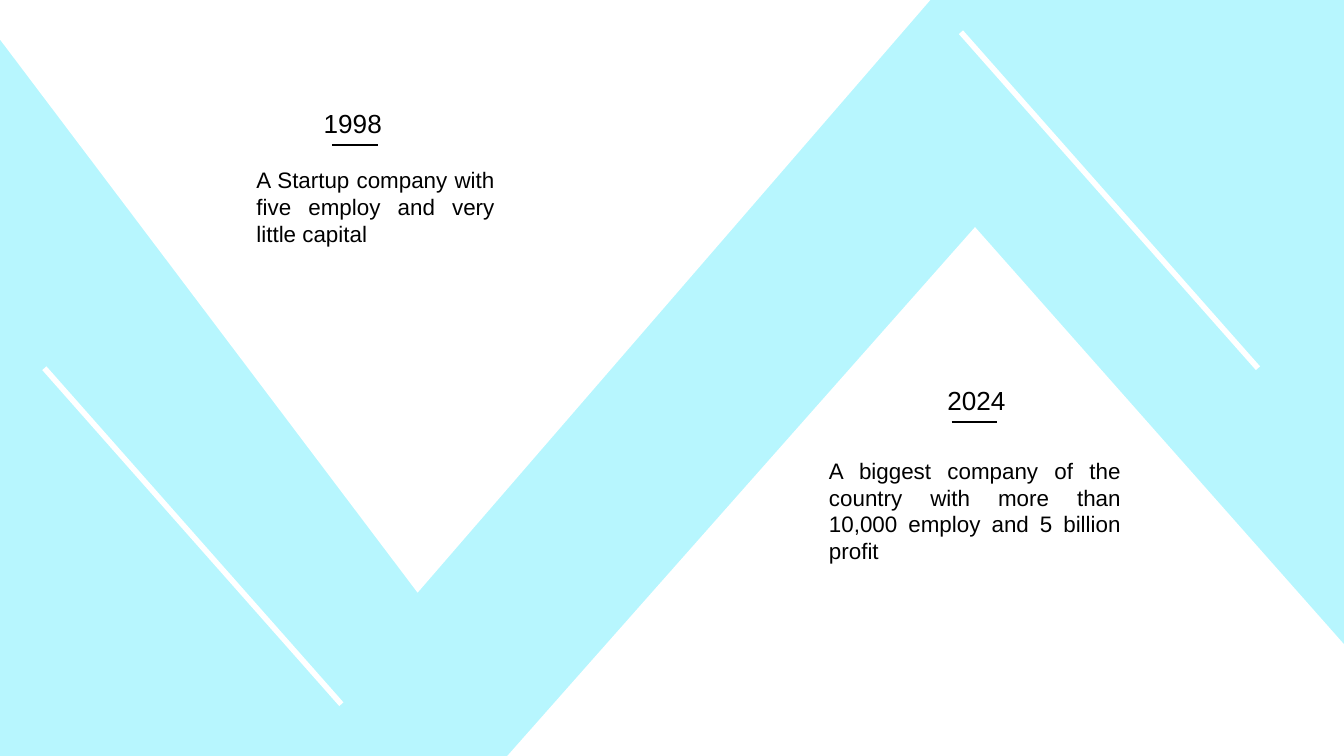
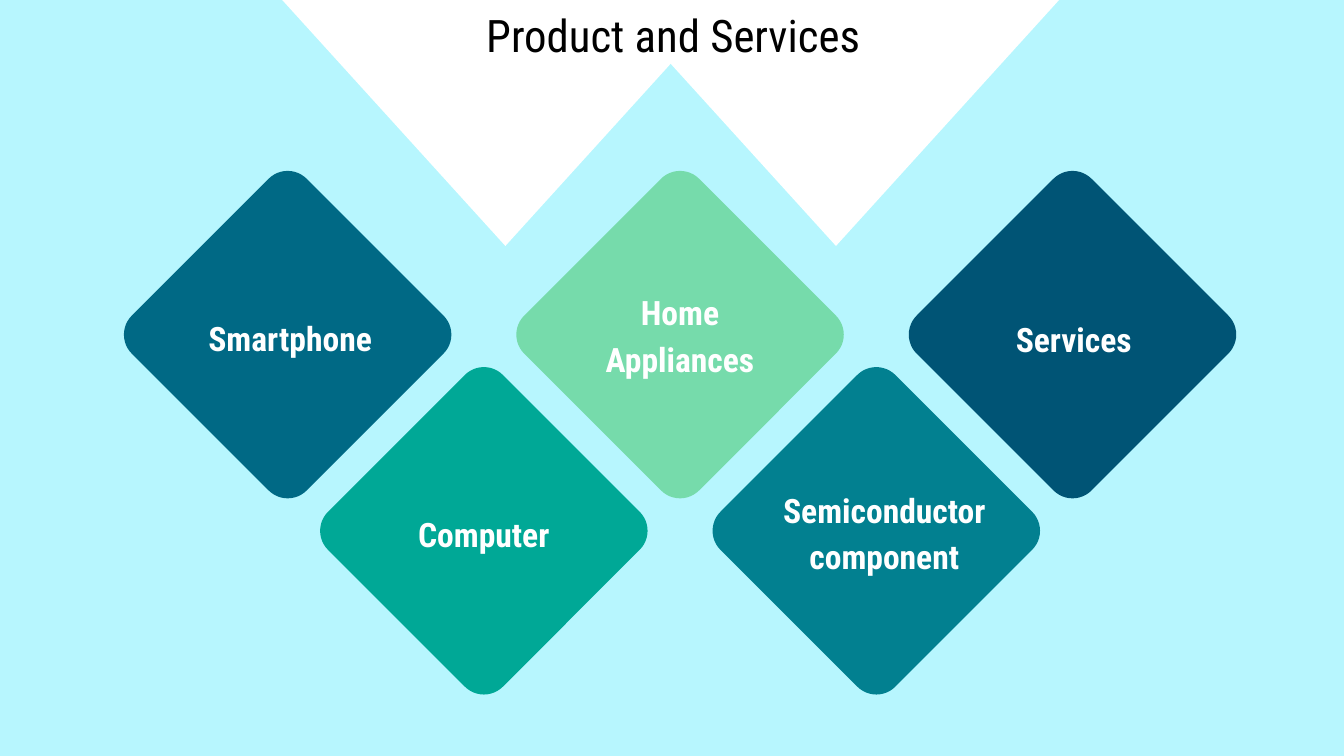
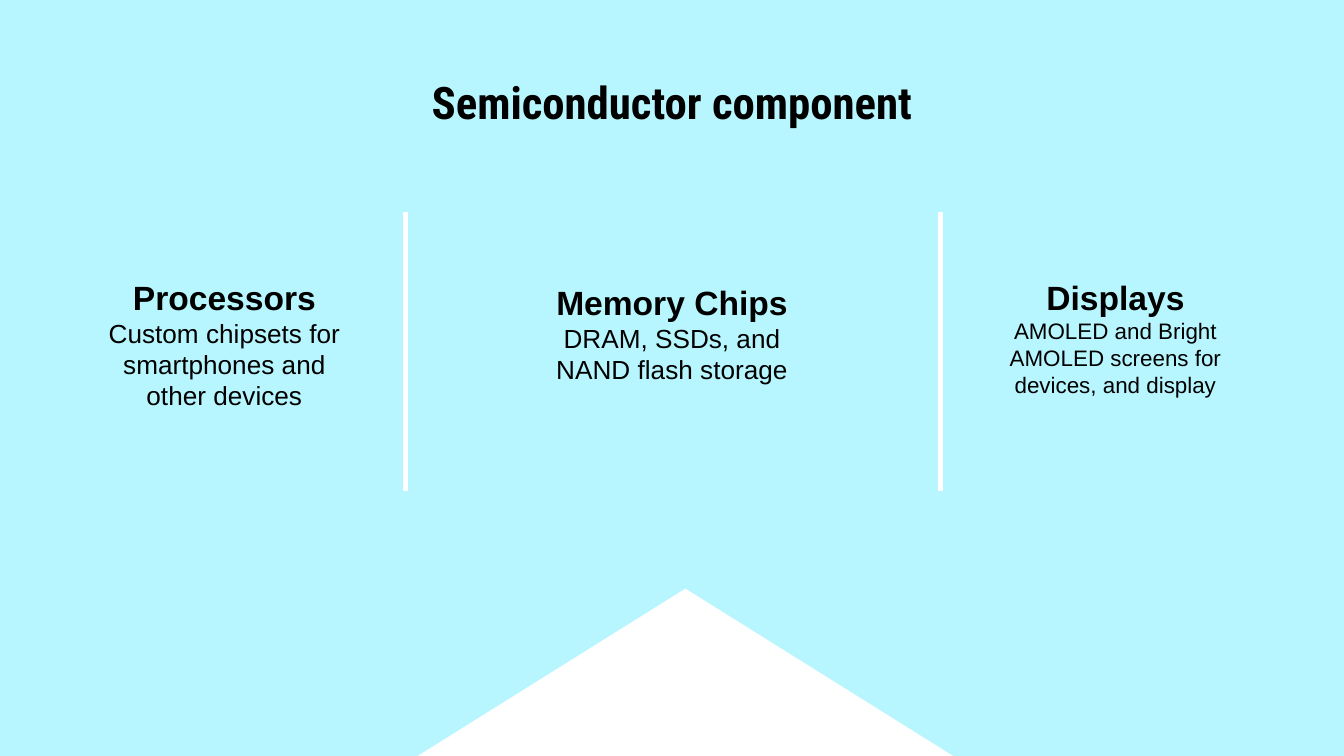
from dataclasses import dataclass

from lxml import etree
from pptx import Presentation
from pptx.dml.color import RGBColor
from pptx.enum.shapes import MSO_CONNECTOR, MSO_SHAPE
from pptx.enum.text import MSO_ANCHOR, PP_ALIGN
from pptx.oxml.ns import qn
from pptx.presentation import Presentation as Deck
from pptx.shapes.autoshape import Shape
from pptx.slide import Slide
from pptx.util import Inches, Pt

TRIANGLE = MSO_SHAPE.ISOSCELES_TRIANGLE
ROUNDED_SQUARE = MSO_SHAPE.ROUNDED_RECTANGLE
STRAIGHT = MSO_CONNECTOR.STRAIGHT
LEFT, CENTER, JUSTIFY = PP_ALIGN.LEFT, PP_ALIGN.CENTER, PP_ALIGN.JUSTIFY
TOP, MIDDLE = MSO_ANCHOR.TOP, MSO_ANCHOR.MIDDLE

COLORS = {
    "background": "B7F6FE",
    "white": "FFFFFF",
    "black": "000000",
    "smartphone": "006985",
    "computer": "00A896",
    "appliances": "76DBAB",
    "semiconductor": "028090",
    "services": "005475",
}
BODY_FONT = "Arial"
HEADING_FONT = "Roboto Condensed"
TITLE_SIZE = 24

DIAMOND_SIDE = 1.84
DIAMOND_RADIUS = 0.2
DIAMOND_LEFT, DIAMOND_TOP = 2.14, 2.49
DIAMOND_STEP = 1.46


@dataclass(frozen=True)
class Box:
    left: float
    top: float
    width: float
    height: float

    def lengths(self) -> tuple[int, ...]:
        return tuple(Inches(n) for n in (self.left, self.top, self.width, self.height))


@dataclass(frozen=True)
class Line:
    start: tuple[float, float]
    end: tuple[float, float]
    width: float
    color: str = "white"


@dataclass(frozen=True)
class Text:
    words: str
    size: float
    bold: bool = False
    font: str = BODY_FONT
    color: str = "black"
    align: PP_ALIGN = CENTER
    line_spacing: float = 1.0
    space_after: float = 0


@dataclass(frozen=True)
class Milestone:
    year: str
    year_box: Box
    rule: Line
    story: str
    story_box: Box


@dataclass(frozen=True)
class Product:
    name: str
    color: str
    label_box: Box


@dataclass(frozen=True)
class Component:
    name: str
    detail: str
    detail_size: float
    box: Box


MILESTONES = [
    Milestone("1998", Box(2.31, 0.75, 1.55, 0.34),
              Line((2.47, 1.08), (2.81, 1.08), 1, "black"),
              "A Startup company with five employ and very little capital",
              Box(1.81, 1.19, 1.97, 0.71)),
    Milestone("2024", Box(6.95, 2.81, 1.14, 0.34),
              Line((7.08, 3.14), (7.42, 3.14), 1, "black"),
              "A biggest company of the country with more than 10,000 employ "
              "and 5 billion profit",
              Box(6.07, 3.35, 2.37, 0.91)),
]

PRODUCTS = [
    Product("Smartphone", "smartphone", Box(1.33, 2.22, 1.66, 0.52)),
    Product("Computer", "computer", Box(2.77, 3.68, 1.66, 0.52)),
    Product("Home Appliances", "appliances", Box(4.23, 2.03, 1.66, 0.52)),
    Product("Semiconductor component", "semiconductor", Box(5.69, 3.5, 1.78, 0.79)),
    Product("Services", "services", Box(7.16, 2.23, 1.66, 0.52)),
]

COMPONENTS = [
    Component("Processors", "Custom chipsets for smartphones and other devices",
              14, Box(0.6, 2.01, 2.14, 1.11)),
    Component("Memory Chips", "DRAM, SSDs, and NAND flash storage",
              14, Box(3.99, 2.05, 2.02, 1.12)),
    Component("Displays", "AMOLED and Bright AMOLED screens for devices, and display",
              12, Box(7.1, 2.01, 2.4, 1.01)),
]


def rgb(name: str) -> RGBColor:
    return RGBColor.from_string(COLORS[name])


def set_attributes(target: object, values: dict[str, object]) -> None:
    for name, value in values.items():
        setattr(target, name, value)


def add_slide(presentation: Deck) -> Slide:
    slide = presentation.slides.add_slide(presentation.slide_layouts[6])
    fill = slide.background.fill
    fill.solid()
    fill.fore_color.rgb = rgb("background")
    return slide


def add_filled_shape(slide: Slide, kind: MSO_SHAPE, box: Box, color: str,
                     rotation: float = 0) -> Shape:
    shape = slide.shapes.add_shape(kind, *box.lengths())
    shape.shadow.inherit = False
    shape.fill.solid()
    shape.fill.fore_color.rgb = rgb(color)
    shape.line.fill.background()
    shape.rotation = rotation
    return shape


def add_line(slide: Slide, line: Line) -> None:
    ends = [Inches(n) for n in (*line.start, *line.end)]
    connector = slide.shapes.add_connector(STRAIGHT, *ends)
    connector.line.color.rgb = rgb(line.color)
    connector.line.width = Pt(line.width)
    etree.SubElement(connector.element.spPr, qn("a:effectLst"))


def add_text(slide: Slide, box: Box, *texts: Text, inset: float = 0.05,
             anchor: MSO_ANCHOR = TOP) -> None:
    """Add a text box with one paragraph for each text."""
    frame = slide.shapes.add_textbox(*box.lengths()).text_frame
    set_attributes(frame, {
        "word_wrap": True,
        "vertical_anchor": anchor,
        "margin_top": Inches(inset),
        "margin_bottom": Inches(inset),
    })
    for index, text in enumerate(texts):
        paragraph = frame.add_paragraph() if index else frame.paragraphs[0]
        set_attributes(paragraph, {
            "alignment": text.align,
            "line_spacing": text.line_spacing,
            "space_after": Pt(text.space_after),
        })
        run = paragraph.add_run()
        run.text = text.words
        set_attributes(run.font, {
            "name": text.font,
            "size": Pt(text.size),
            "bold": text.bold,
        })
        run.font.color.rgb = rgb(text.color)


def add_title(slide: Slide, words: str, left: float, top: float,
              bold: bool = False) -> None:
    title = Text(words, TITLE_SIZE, bold, HEADING_FONT)
    add_text(slide, Box(left, top, 9, 0.63), title, inset=0.1, anchor=MIDDLE)


def build_history(presentation: Deck) -> None:
    slide = add_slide(presentation)
    valley = add_filled_shape(slide, TRIANGLE, Box(-0.29, -0.09, 7.29, 4.5),
                              "white", 180)
    valley.adjustments[0] = 0.534
    add_filled_shape(slide, TRIANGLE, Box(3.77, 1.69, 6.97, 3.94), "white")
    for milestone in MILESTONES:
        add_text(slide, milestone.year_box, Text(milestone.year, 14, align=LEFT))
        add_line(slide, milestone.rule)
        add_text(slide, milestone.story_box, Text(milestone.story, 12, align=JUSTIFY))
    for left, top in ((0.33, 2.74), (7.15, 0.24)):
        add_line(slide, Line((left, top), (left + 2.21, top + 2.5), 3))


def build_products(presentation: Deck) -> None:
    """Set the product diamonds in a zigzag, every second one a row lower."""
    slide = add_slide(presentation)
    for left in (4.56, 2.1):
        add_filled_shape(slide, TRIANGLE, Box(left, 0, 3.32, 1.83), "white", 180)
    add_title(slide, "Product and Services", 0.51, -0.06)
    for index, product in enumerate(PRODUCTS):
        center_x = DIAMOND_LEFT + index * DIAMOND_STEP
        center_y = DIAMOND_TOP + index % 2 * DIAMOND_STEP
        box = Box(center_x - DIAMOND_SIDE / 2, center_y - DIAMOND_SIDE / 2,
                  DIAMOND_SIDE, DIAMOND_SIDE)
        diamond = add_filled_shape(slide, ROUNDED_SQUARE, box, product.color, 45)
        diamond.adjustments[0] = DIAMOND_RADIUS / DIAMOND_SIDE
        label = Text(product.name, 18, True, HEADING_FONT, "white",
                     line_spacing=1.15, space_after=16)
        add_text(slide, product.label_box, label, inset=0.1)


def build_components(presentation: Deck) -> None:
    slide = add_slide(presentation)
    add_filled_shape(slide, TRIANGLE, Box(3.1, 4.38, 4, 1.25), "white")
    for x in (3.02, 7):
        add_line(slide, Line((x, 1.58), (x, 3.65), 2.75))
    add_title(slide, "Semiconductor component", 0.5, 0.44, bold=True)
    for component in COMPONENTS:
        add_text(slide, component.box, Text(component.name, 18, True),
                 Text(component.detail, component.detail_size))


def main() -> None:
    presentation = Presentation()
    presentation.slide_width = Inches(10)
    presentation.slide_height = Inches(10) * 9 // 16
    for build in (build_history, build_products, build_components):
        build(presentation)
    presentation.save("out.pptx")


if __name__ == "__main__":
    main()
